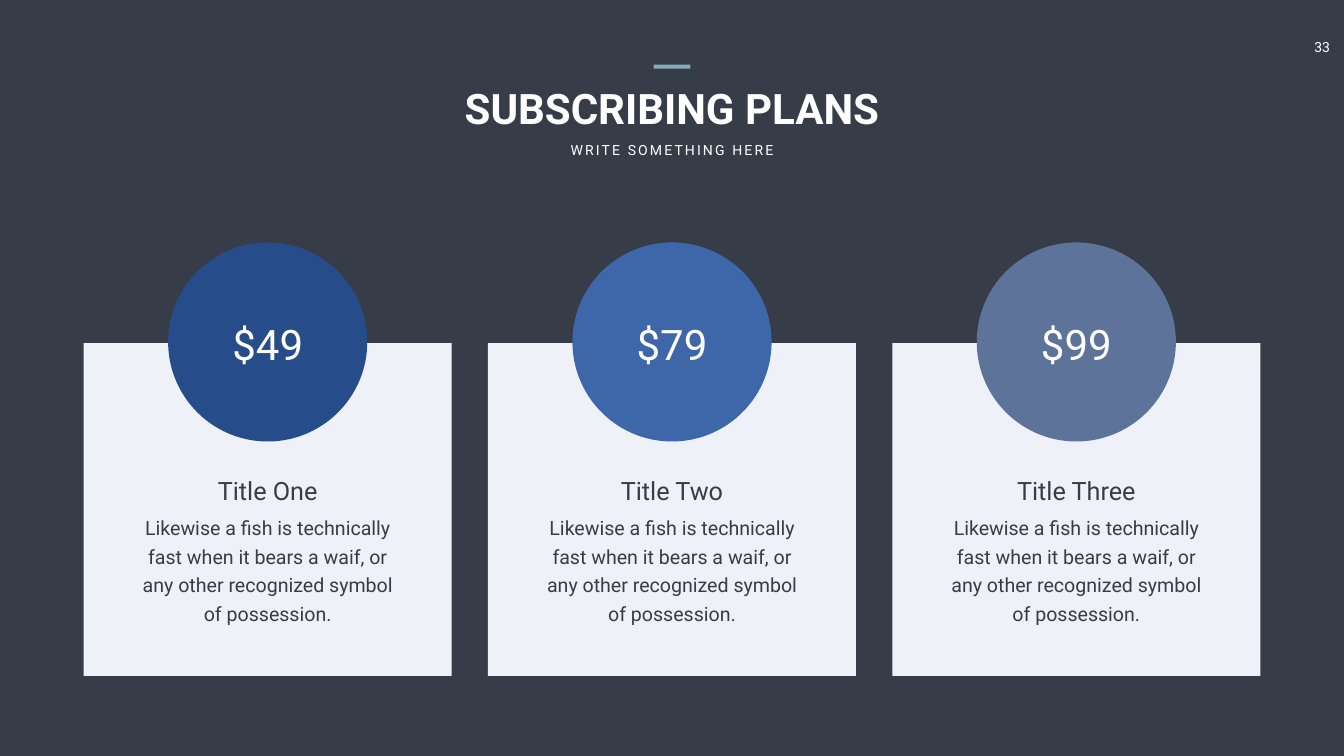
"""Build the subscribing plans slide: a heading above three priced cards."""
from pptx import Presentation
from pptx.dml.color import RGBColor
from pptx.enum.shapes import MSO_SHAPE
from pptx.enum.text import MSO_AUTO_SIZE, PP_ALIGN
from pptx.util import Inches, Pt

BLURB = ("Likewise a fish is technically fast when it bears a waif, "
         "or any other recognized symbol of possession.")
PLANS = [
    {"price": "$49", "title": "Title One", "color": "264D89", "title_width": 2.2},
    {"price": "$79", "title": "Title Two", "color": "3E67AA", "title_width": 2.27},
    {"price": "$99", "title": "Title Three", "color": "5D739A", "title_width": 2.59},
]
THEME = {
    "font": "Roboto",
    "dark": "363D48", "white": "FFFFFF", "accent": "84ACB6", "card": "EFF1F8",
    "display": 60, "title": 36, "body": 28, "small": 20,
}
SLIDE_WIDTH, SLIDE_HEIGHT = 26.66, 15
CENTER = SLIDE_WIDTH / 2
CARD_WIDTH, CARD_HEIGHT, CARD_TOP, CARD_STEP = 7.3, 6.6, 6.81, 8.02
CIRCLE_SIZE, CIRCLE_TOP = 3.95, 4.81


def color(name):
    return RGBColor.from_string(THEME.get(name, name))


def centered(center, top, width, height):
    return [Inches(value) for value in (center - width / 2, top, width, height)]


def add_block(page, kind, place, fill):
    block = page.shapes.add_shape(kind, *place)
    block.shadow.inherit = False
    block.fill.solid()
    block.fill.fore_color.rgb = color(fill)
    block.line.fill.background()


def add_text(page, place, text, size, ink, bold=False, wrap=False,
             frame_format=None, para_format=None, tracking=None):
    frame = page.shapes.add_textbox(*place).text_frame
    para = frame.paragraphs[0]
    span = para.add_run()
    span.text = text
    formats = [
        (frame, {"word_wrap": wrap, "auto_size": MSO_AUTO_SIZE.SHAPE_TO_FIT_TEXT,
                 **(frame_format or {})}),
        (para, {"alignment": PP_ALIGN.CENTER, **(para_format or {})}),
        (span.font, {"name": THEME["font"], "size": Pt(THEME[size]), "bold": bold}),
    ]
    for target, values in formats:
        for name, value in values.items():
            setattr(target, name, value)
    span.font.color.rgb = color(ink)
    if tracking:
        span.font._element.set("spc", str(tracking * 100))


def add_heading(page):
    add_text(page, centered(CENTER, 1.59, 10.31, 1.11), "SUBSCRIBING PLANS",
             "display", "white", bold=True, wrap=True)
    add_text(page, centered(CENTER, 2.75, 4.35, 0.44), "WRITE SOMETHING HERE",
             "small", "white", tracking=3)
    add_block(page, MSO_SHAPE.RECTANGLE, centered(CENTER, 1.28, 0.73, 0.08), "accent")


def add_plan(page, plan, center):
    add_block(page, MSO_SHAPE.RECTANGLE,
              centered(center, CARD_TOP, CARD_WIDTH, CARD_HEIGHT), "card")
    add_text(page, centered(center, 10.09, 5.36, 2.35), BLURB, "body", "dark",
             wrap=True, para_format={"line_spacing": Pt(40.8)})
    add_text(page, centered(center, 9.39, plan["title_width"], 0.71),
             plan["title"], "title", "dark")
    add_block(page, MSO_SHAPE.OVAL,
              centered(center, CIRCLE_TOP, CIRCLE_SIZE, CIRCLE_SIZE), plan["color"])
    add_text(page, centered(center, 6.28, 1.62, 1.11), plan["price"], "display", "white")


def main():
    deck = Presentation()
    deck.slide_width, deck.slide_height = Inches(SLIDE_WIDTH), Inches(SLIDE_HEIGHT)
    page = deck.slides.add_slide(deck.slide_layouts[6])
    page.background.fill.solid()
    page.background.fill.fore_color.rgb = color("dark")
    margins = {"margin_left": Inches(0.2), "margin_right": Inches(0.2),
               "margin_top": Inches(0.1), "margin_bottom": Inches(0.1)}
    add_text(page, [Inches(value) for value in (25.87, 0.67, 0.91, 0.54)], "33",
             "small", "white", wrap=True, frame_format=margins,
             para_format={"alignment": PP_ALIGN.LEFT})
    add_heading(page)
    for index, plan in enumerate(PLANS):
        add_plan(page, plan, CENTER + (index - 1) * CARD_STEP)
    deck.save("out.pptx")


if __name__ == "__main__":
    main()
